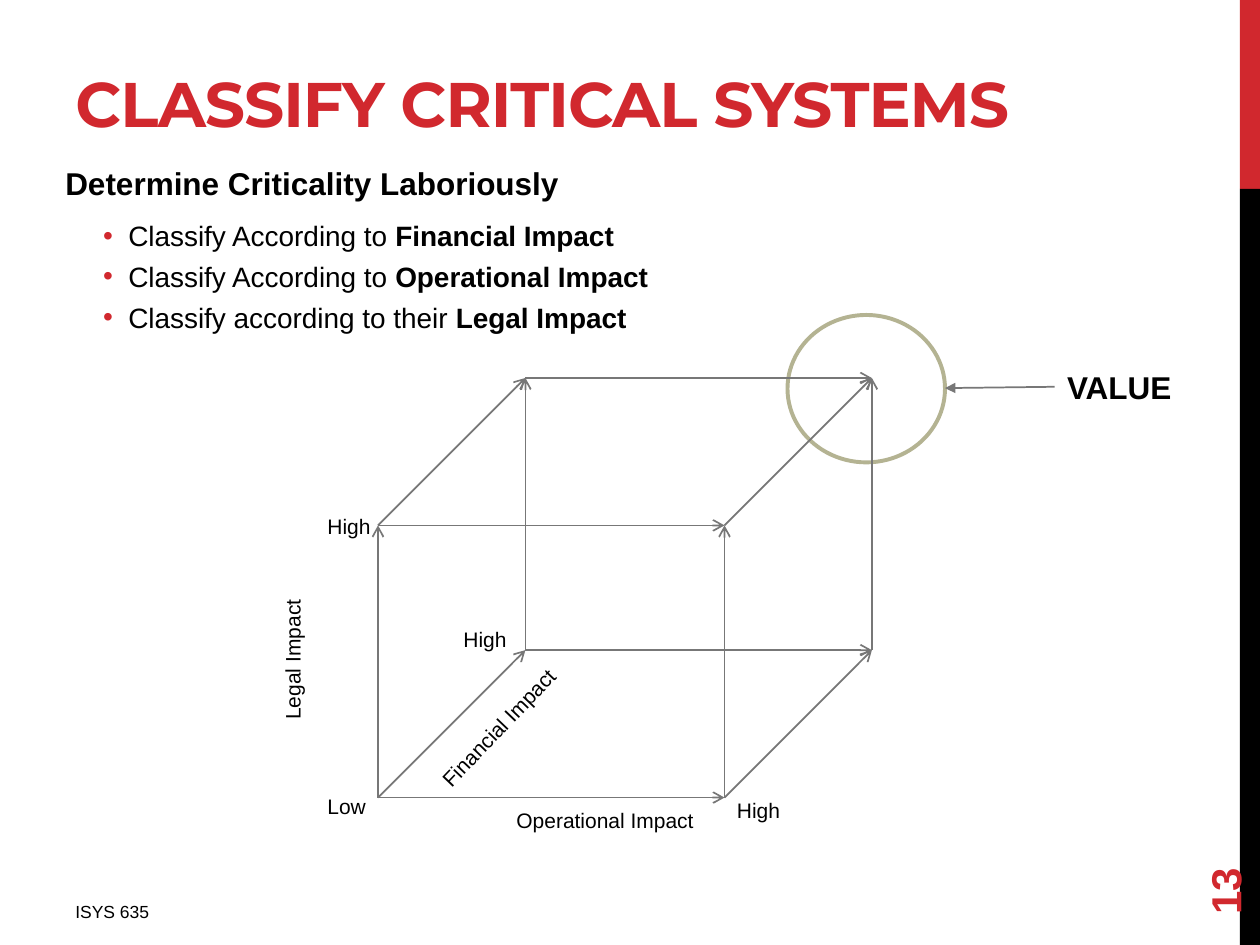
import dataclasses
import itertools

import lxml.etree
import pptx
import pptx.dml.color
import pptx.enum.shapes
import pptx.enum.text
import pptx.oxml.ns
import pptx.util
from pptx.util import Inches

SHAPES = pptx.enum.shapes.MSO_SHAPE
ANCHOR = pptx.enum.text.MSO_ANCHOR
qn = pptx.oxml.ns.qn


@dataclasses.dataclass(frozen=True)
class Theme:
    accent: str = "D1282E"
    black: str = "000000"
    white: str = "FFFFFF"
    edge: str = "777777"
    ring: str = "B4B392"
    heading_font: str = "Montserrat"
    body_font: str = "Arial"
    title: float = 36
    page: float = 24
    lead: float = 18
    bullet: float = 16
    label: float = 12
    footer: float = 10


@dataclasses.dataclass(frozen=True)
class Label:
    text: str
    left: float
    top: float
    width: float
    rotation: float = 0


THEME = Theme()

LABELS = [
    Label("Legal Impact", 1.74, 5.08, 1.16, 270),
    Label("Low", 2.5, 6.25, 0.51),
    Label("High", 2.5, 4.03, 0.55),
    Label("High", 3.58, 4.92, 0.55),
    Label("High", 5.75, 6.28, 0.55),
    Label("Operational Impact", 4, 6.36, 1.62),
    Label("Financial Impact", 3.25, 5.62, 1.42, 313.7),
]

CRITERIA = [
    ("Classify According to ", "Financial Impact"),
    ("Classify According to ", "Operational Impact"),
    ("Classify according to their ", "Legal Impact"),
]

# Cube corners are (operational, financial, legal), each 0 for low or 1 for high.
ORIGIN = (3, 6.33)
OPERATIONAL_LENGTH, FINANCIAL_OFFSET, LEGAL_HEIGHT = 2.75, 1.17, 2.16
HIGHEST = (1, 1, 1)


def rgb(color: str):
    return pptx.dml.color.RGBColor.from_string(color)


def add_run(paragraph, text: str, *, size: float, color: str = THEME.black,
            font: str = THEME.body_font, bold: bool = False, spacing: float = 0):
    run = paragraph.add_run()
    run.text = text
    run.font.size = pptx.util.Pt(size)
    run.font.name = font
    run.font.bold = bold
    run.font.color.rgb = rgb(color)
    if spacing:
        run.font._element.set("spc", str(round(spacing * 100)))


def add_text(slide, text: str, left: float, top: float, width: float, height: float, *,
             anchor=ANCHOR.TOP, rotation: float = 0, wrap: bool = True, **run_format):
    box = slide.shapes.add_textbox(Inches(left), Inches(top), Inches(width), Inches(height))
    box.rotation = rotation
    box.text_frame.word_wrap = wrap
    box.text_frame.vertical_anchor = anchor
    add_run(box.text_frame.paragraphs[0], text, **run_format)
    return box


def add_bullet(frame, plain: str, strong: str):
    paragraph = frame.add_paragraph()
    paragraph.level = 1
    paragraph.space_before = pptx.util.Pt(4)
    properties = paragraph._p.get_or_add_pPr()
    properties.set("marL", str(Inches(0.5)))
    properties.set("indent", str(Inches(-0.2)))
    bullet_color = lxml.etree.SubElement(properties, qn("a:buClr"))
    lxml.etree.SubElement(bullet_color, qn("a:srgbClr"), val=THEME.accent)
    lxml.etree.SubElement(properties, qn("a:buFont"), typeface=THEME.body_font)
    lxml.etree.SubElement(properties, qn("a:buChar"), char="•")
    add_run(paragraph, plain, size=THEME.bullet)
    add_run(paragraph, strong, size=THEME.bullet, bold=True)


def add_filled(slide, kind, left: float, top: float, width: float, height: float,
               fill: str, outline: str = "", weight: float = 0):
    shape = slide.shapes.add_shape(
        kind, Inches(left), Inches(top), Inches(width), Inches(height))
    shape.shadow.inherit = False
    shape.fill.solid()
    shape.fill.fore_color.rgb = rgb(fill)
    if outline:
        shape.line.color.rgb = rgb(outline)
        shape.line.width = pptx.util.Pt(weight)
    else:
        shape.line.fill.background()
    return shape


def add_arrow(slide, start: tuple, end: tuple, head: str = "arrow"):
    arrow = slide.shapes.add_connector(
        pptx.enum.shapes.MSO_CONNECTOR.STRAIGHT, *map(Inches, start + end))
    arrow.line.color.rgb = rgb(THEME.edge)
    arrow.line.width = pptx.util.Pt(1)
    lxml.etree.SubElement(arrow.line._get_or_add_ln(), qn("a:tailEnd"), type=head)
    lxml.etree.SubElement(arrow._element.spPr, qn("a:effectLst"))
    return arrow


def corner_point(corner: tuple) -> tuple:
    operational, financial, legal = corner
    return (ORIGIN[0] + OPERATIONAL_LENGTH * operational + FINANCIAL_OFFSET * financial,
            ORIGIN[1] - LEGAL_HEIGHT * legal - FINANCIAL_OFFSET * financial)


def cube_edges() -> list:
    """Pair each corner with those one step higher on a single axis."""
    corners = itertools.product((0, 1), repeat=3)
    return [(low, low[:axis] + (1,) + low[axis + 1:])
            for low in corners for axis in range(3) if low[axis] == 0]


def draw_frame(slide):
    add_filled(slide, SHAPES.RECTANGLE, 9.84, 0, 0.16, 1.5, THEME.accent)
    add_filled(slide, SHAPES.RECTANGLE, 9.84, 1.5, 0.16, 6, THEME.black)
    add_text(slide, "ISYS 635", 0.5, 7.1, 3.75, 0.31, size=THEME.footer)
    add_text(slide, "13", 9, 6.44, 1.44, 0.4, anchor=ANCHOR.MIDDLE, rotation=270,
             size=THEME.page, color=THEME.accent, bold=True)
    add_text(slide, "CLASSIFY CRITICAL SYSTEMS", 0.5, 0.3, 9, 1.03, anchor=ANCHOR.MIDDLE,
             size=THEME.title, color=THEME.accent, font=THEME.heading_font,
             bold=True, spacing=-0.6)


def draw_criteria(slide):
    body = add_text(slide, "Determine Criticality Laboriously", 0.42, 1.25, 9, 1.58,
                    size=THEME.lead, bold=True)
    body.text_frame.paragraphs[0].space_after = pptx.util.Pt(6)
    for plain, strong in CRITERIA:
        add_bullet(body.text_frame, plain, strong)


def draw_cube(slide):
    # The ring is filled, so edges that meet inside it are drawn after it.
    edges = sorted(cube_edges(), key=lambda edge: edge[1] == HIGHEST)
    ring_drawn = False
    for low, high in edges:
        if high == HIGHEST and not ring_drawn:
            add_filled(slide, SHAPES.OVAL, 6.25, 2.5, 1.25, 1.17,
                       THEME.white, THEME.ring, 2.25)
            ring_drawn = True
        add_arrow(slide, corner_point(low), corner_point(high))
    for label in LABELS:
        add_text(slide, label.text, label.left, label.top, label.width, 0.3,
                 rotation=label.rotation, wrap=False, size=THEME.label)


def draw_value(slide):
    value = add_text(slide, "VALUE", 8.37, 2.87, 1.25, 0.4, size=THEME.lead, bold=True)
    pointer = add_arrow(slide, (8.37, 3.07), (7.5, 3.08), head="triangle")
    pointer.begin_connect(value, 1)


def main():
    presentation = pptx.Presentation()
    presentation.slide_width, presentation.slide_height = Inches(10), Inches(7.5)
    slide = presentation.slides.add_slide(presentation.slide_layouts[6])
    draw_frame(slide)
    draw_criteria(slide)
    draw_cube(slide)
    draw_value(slide)
    presentation.save("out.pptx")


if __name__ == "__main__":
    main()
